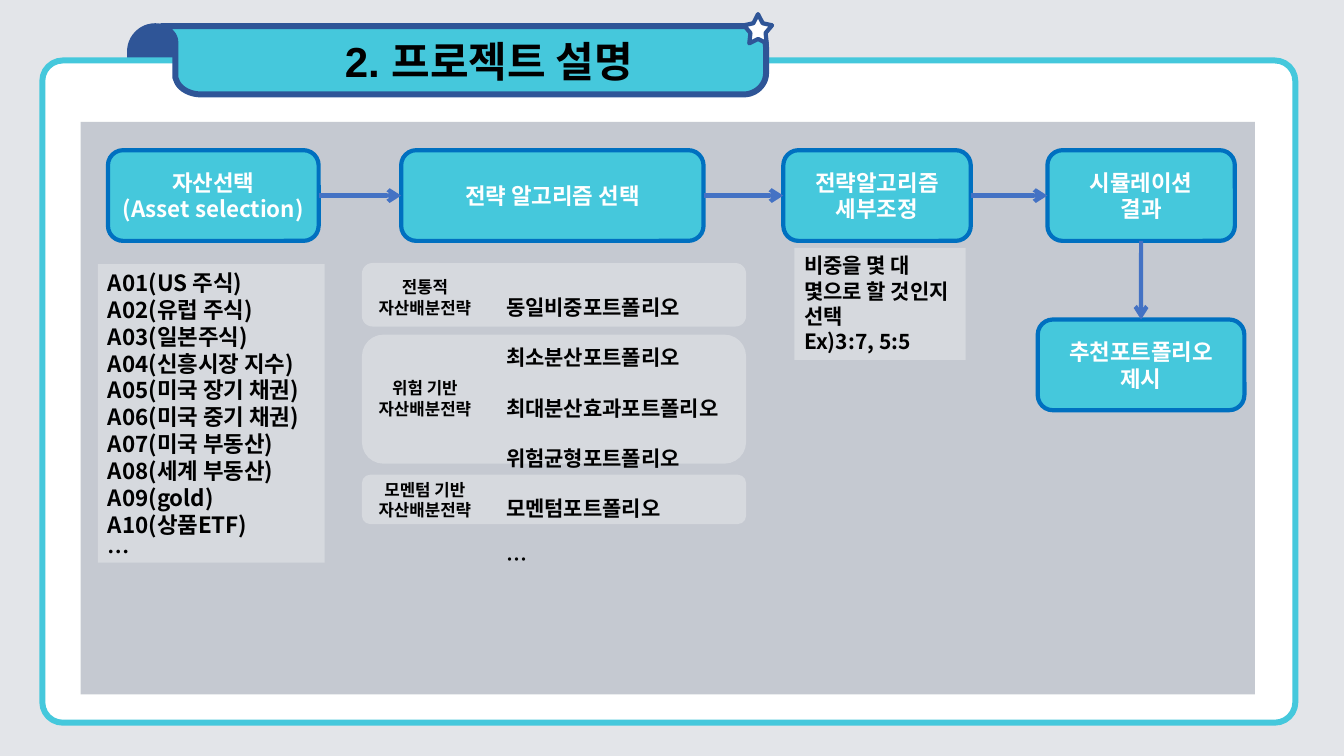
from dataclasses import dataclass

from lxml import etree
from pptx import Presentation, util as u
from pptx.dml.color import RGBColor
from pptx.enum import shapes, text
from pptx.oxml.ns import qn

BACKDROP = RGBColor(0xE3, 0xE5, 0xE9)
WHITE = RGBColor(0xFF, 0xFF, 0xFF)
BLACK = RGBColor(0, 0, 0)
AQUA = RGBColor(0x45, 0xC8, 0xDC)
NAVY = RGBColor(0x2F, 0x55, 0x97)
BLUE = RGBColor(0x00, 0x70, 0xC0)
ARROW = RGBColor(0x44, 0x72, 0xC4)
GREY = RGBColor(0xBD, 0xC1, 0xCB)
KOREAN = "Noto Sans CJK KR"
KIND = shapes.MSO_SHAPE
ALIGN = text.PP_ALIGN
ANCHOR = text.MSO_ANCHOR

prs = Presentation()
prs.slide_width, prs.slide_height = u.Inches(13.33), u.Inches(7.5)


def across(share: float) -> int:
    """Percent of the slide width."""
    return round(prs.slide_width * share / 100)


def down(share: float) -> int:
    """Percent of the slide height."""
    return round(prs.slide_height * share / 100)


@dataclass(frozen=True)
class Box:
    """A rectangle in percent of the slide."""
    x: float
    y: float
    w: float
    h: float

    def emu(self) -> tuple[int, int, int, int]:
        return across(self.x), down(self.y), across(self.w), down(self.h)


@dataclass(frozen=True)
class Step:
    box: Box
    lines: tuple[str, ...]


@dataclass(frozen=True)
class Link:
    start: int
    start_side: int
    end: int
    end_side: int


STEP_Y, STEP_H = 19.87, 12
STEPS = (
    Step(Box(8.03, STEP_Y, 15.68, STEP_H), ("자산선택", "(Asset selection)")),
    Step(Box(29.85, STEP_Y, 22.5, STEP_H), ("전략 알고리즘 선택",)),
    Step(Box(58.28, STEP_Y, 13.95, STEP_H), ("전략알고리즘 세부조정",)),
    Step(Box(77.93, STEP_Y, 13.95, STEP_H), ("시뮬레이션", "결과")),
    Step(Box(77.21, 42.27, 15.38, STEP_H), ("추천포트폴리오 제시",)),
)
LINKS = (Link(0, 3, 1, 1), Link(1, 3, 2, 1), Link(2, 3, 3, 1), Link(3, 2, 4, 0))
BANDS = tuple(Box(26.93, y, 28.58, h)
              for y, h in ((34.8, 8.4), (44.27, 17.07), (62.8, 6.53)))
ASSETS = ("A01(US 주식)", "A02(유럽 주식)", "A03(일본주식)", "A04(신흥시장 지수)",
          "A05(미국 장기 채권)", "A06(미국 중기 채권)", "A07(미국 부동산)",
          "A08(세계 부동산)", "A09(gold)", "A10(상품ETF)", "…")
STRATEGIES = ("동일비중포트폴리오", "최소분산포트폴리오", "최대분산효과포트폴리오",
              "위험균형포트폴리오", "모멘텀포트폴리오", "…")
FAMILIES = ("전통적", "위험 기반", "모멘텀 기반")


def write(tf, lines, *, size=16, color=BLACK, font=KOREAN, align=ALIGN.LEFT,
          anchor=ANCHOR.TOP, wrap=True, spacing=1.0, indent=0.0) -> None:
    tf.word_wrap, tf.vertical_anchor = wrap, anchor
    tf.auto_size = text.MSO_AUTO_SIZE.NONE if wrap else text.MSO_AUTO_SIZE.SHAPE_TO_FIT_TEXT
    for i, line in enumerate(lines):
        p = tf.paragraphs[0] if i == 0 else tf.add_paragraph()
        pPr = p._p.get_or_add_pPr()
        pPr.set("marL", str(u.Inches(indent)))
        pPr.set("indent", "0")
        etree.SubElement(pPr, qn("a:buNone"))
        p.alignment, p.line_spacing, p.space_before = align, spacing, u.Pt(0)
        r = p.add_run()
        r.text = line
        r.font.name, r.font.size, r.font.bold = font, u.Pt(size), True
        r.font.color.rgb = color
        etree.SubElement(r._r.get_or_add_rPr(), qn("a:ea"), typeface=KOREAN)


def paint(sp, fill: RGBColor, line: RGBColor | None = None, width: float = 0,
          opacity: int = 100) -> None:
    sp.fill.solid()
    sp.fill.fore_color.rgb = fill
    if opacity < 100:
        color = sp.fill._xPr.find(qn("a:solidFill"))[0]
        etree.SubElement(color, qn("a:alpha"), val=str(opacity * 1000))
    if line is None:
        sp.line.fill.background()
    else:
        sp.line.color.rgb, sp.line.width = line, u.Pt(width)


def add_box(s, kind, box: Box, fill: RGBColor, line: RGBColor | None = None,
            width: float = 0, opacity: int = 100, adjust: tuple[float, ...] = ()):
    sp = s.shapes.add_shape(kind, *box.emu())
    sp.shadow.inherit = False
    for i, value in enumerate(adjust):
        sp.adjustments[i] = value
    paint(sp, fill, line, width, opacity)
    return sp


def place(s, sp, box: Box) -> None:
    """Position a placeholder and bring it to the front."""
    sp.left, sp.top, sp.width, sp.height = box.emu()
    s.shapes._spTree.append(sp._element)


def curve(a, b, c, d, steps: int = 12) -> list[tuple[float, float]]:
    """Points along a cubic Bezier curve."""
    ts = [i / steps for i in range(steps + 1)]
    return [tuple((1 - t) ** 3 * a[k] + 3 * (1 - t) ** 2 * t * b[k]
                  + 3 * (1 - t) * t ** 2 * c[k] + t ** 3 * d[k] for k in (0, 1))
            for t in ts]


def add_ribbon(s) -> None:
    top, bottom = 3.47, 12.5
    outline = [
        (12, top),
        *curve((55.35, top), (56.25, top), (57, 4.67), (57, 6.27)),
        *curve((57, 9.73), (57, 11.2), (56.25, bottom), (55.35, bottom)),
        *curve((15, bottom), (14.18, bottom), (13.5, 11.87), (13.2, 10.93)),
        (13.05, 10.27),
        *curve((13.05, 5.6), (13.05, 4.8), (12.75, 4.13), (12.3, 3.73)),
        (12, 3.6),
    ]
    points = [(across(x), down(y)) for x, y in outline]
    builder = s.shapes.build_freeform(*points[0])
    builder.add_line_segments(points[1:], close=True)
    sp = builder.convert_to_shape()
    sp.shadow.inherit = False
    paint(sp, AQUA, NAVY, 4.25)


def add_arrow(s, link: Link, boxes) -> None:
    cx = s.shapes.add_connector(shapes.MSO_CONNECTOR.STRAIGHT, 0, 0, 0, 0)
    cx.begin_connect(boxes[link.start], link.start_side)
    cx.end_connect(boxes[link.end], link.end_side)
    cx.line.color.rgb, cx.line.width = ARROW, u.Pt(3)
    etree.SubElement(cx.line._get_or_add_ln(), qn("a:tailEnd"), type="arrow")
    etree.SubElement(cx._element.spPr, qn("a:effectLst"))


def main() -> None:
    s = prs.slides.add_slide(prs.slide_layouts[3])
    title, assets, strategies = s.placeholders
    s.background.fill.solid()
    s.background.fill.fore_color.rgb = BACKDROP

    # Frame and title ribbon
    add_box(s, KIND.ROUND_2_SAME_RECTANGLE, Box(9.68, 3.47, 3.75, 13.07),
            NAVY, NAVY, 4.25, adjust=(0.5, 0))
    add_box(s, KIND.ROUNDED_RECTANGLE, Box(3.15, 8, 93.23, 87.6),
            WHITE, AQUA, 4.25, adjust=(0.031,))
    add_ribbon(s)
    place(s, title, Box(12, 3.47, 45, 9.07))
    write(title.text_frame, ["2. 프로젝트 설명"], size=30, font="Arial",
          align=ALIGN.CENTER, anchor=ANCHOR.MIDDLE, indent=0.5)
    add_box(s, KIND.STAR_5_POINT, Box(55.35, 1.87, 2.1, 3.87),
            WHITE, NAVY, 3, adjust=(0.269,))
    add_box(s, KIND.RECTANGLE, Box(6, 16.13, 87.38, 75.73), GREY, opacity=87)

    # Process steps and arrows
    boxes = []
    for step in STEPS:
        sp = add_box(s, KIND.ROUNDED_RECTANGLE, step.box, AQUA, BLUE, 3)
        write(sp.text_frame, step.lines, color=WHITE, align=ALIGN.CENTER,
              anchor=ANCHOR.MIDDLE)
        boxes.append(sp)
    for link in LINKS:
        add_arrow(s, link, boxes)

    # Asset list
    place(s, assets, Box(7.28, 34.93, 16.88, 40.8))
    paint(assets, WHITE, opacity=30)
    write(assets.text_frame, ASSETS, wrap=False)

    # Strategy families and their portfolios
    for band in BANDS:
        add_box(s, KIND.ROUNDED_RECTANGLE, band, WHITE, opacity=30)
    place(s, strategies, Box(36.9, 34.93, 18.9, 41.73))
    write(strategies.text_frame, STRATEGIES, size=15, spacing=2.0)
    tf = s.shapes.add_textbox(*Box(26.85, 36, 9.53, 33.6).emu()).text_frame
    write(tf, [line for name in FAMILIES for line in (name, "자산배분전략")],
          size=12, align=ALIGN.CENTER, wrap=False)
    for p in tf.paragraphs[2::2]:
        p.space_before = u.Pt(43.4)

    # Weight ratio note
    sp = add_box(s, KIND.RECTANGLE, Box(59.1, 32.8, 12.75, 14.8), WHITE, opacity=30)
    write(sp.text_frame, ["비중을 몇 대 몇으로 할 것인지 선택", "Ex)3:7, 5:5"], size=15)

    prs.save("out.pptx")


if __name__ == "__main__":
    main()
